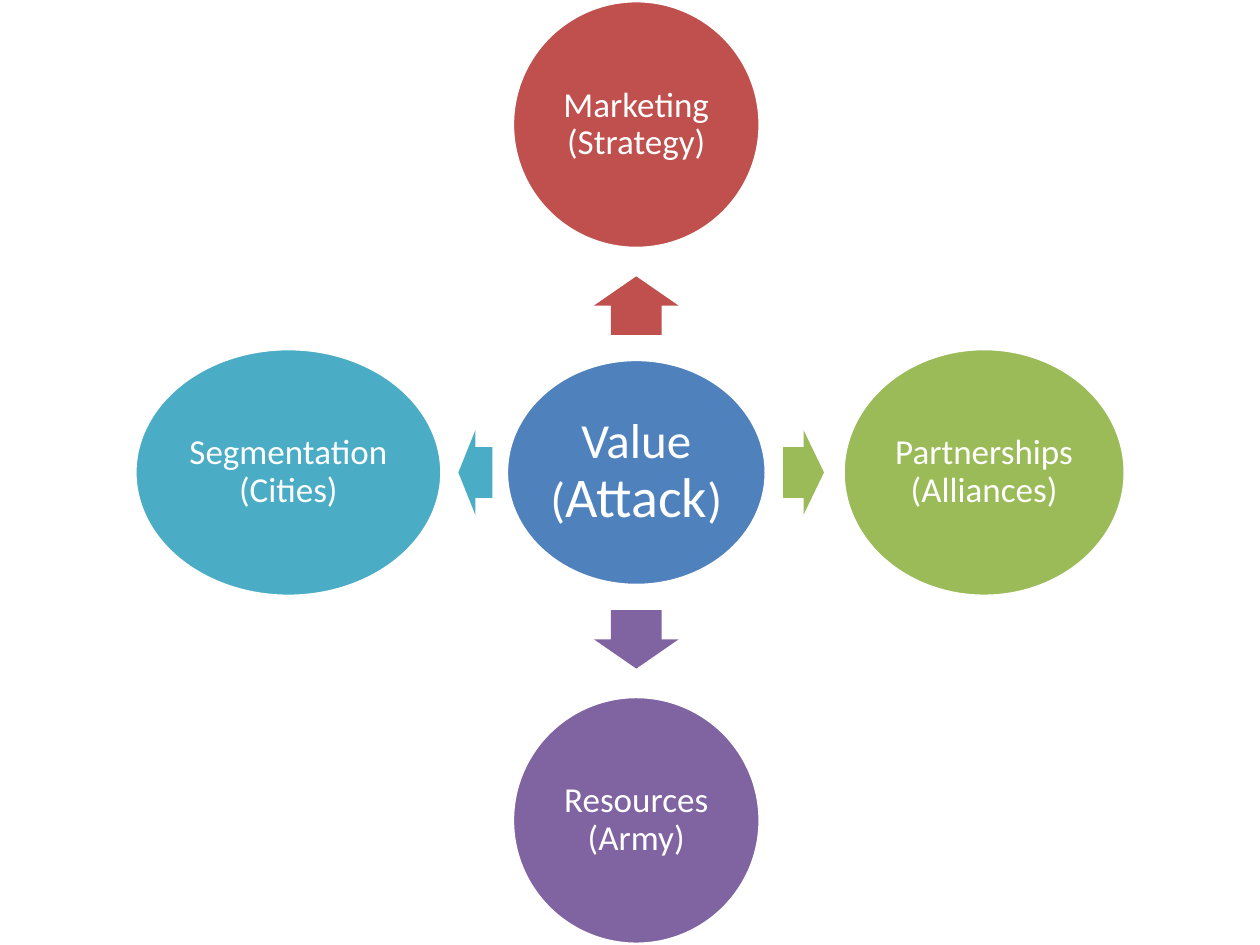
from dataclasses import dataclass
from math import cos, radians, sin

from pptx import Presentation
from pptx import util as u
from pptx.dml.color import RGBColor as Rgb
from pptx.enum import shapes, text


@dataclass(frozen=True)
class Theme:
    font: str = "Calibri"
    white: str = "FFFFFF"
    blue: str = "4F81BD"
    red: str = "C0504D"
    green: str = "9BBB59"
    purple: str = "8064A2"
    teal: str = "4BACC6"
    small: int = 20
    medium: int = 28
    large: int = 32


class Board:
    """Draws styled circles and arrows, placed by their centres in points."""

    def __init__(self, slide, theme):
        self.slide = slide
        self.theme = theme

    def shape(self, kind, x, y, wide, high, color):
        item = self.slide.shapes.add_shape(
            kind, u.Pt(x - wide / 2), u.Pt(y - high / 2), u.Pt(wide), u.Pt(high))
        item.shadow.inherit = False
        item.fill.solid()
        item.fill.fore_color.rgb = Rgb.from_string(color)
        item.line.fill.background()
        return item

    def circle(self, x, y, wide, high, color, runs, inset):
        item = self.shape(shapes.MSO_SHAPE.OVAL, x, y, wide, high, color)
        item.line.color.rgb = Rgb.from_string(self.theme.white)
        item.line.width = u.Pt(2)
        frame = item.text_frame
        frame.word_wrap = True
        frame.vertical_anchor = text.MSO_ANCHOR.MIDDLE
        frame.margin_left = frame.margin_right = u.Pt(inset)
        frame.margin_top = frame.margin_bottom = u.Pt(inset)
        para = frame.paragraphs[0]
        para.alignment = text.PP_ALIGN.CENTER
        para.line_spacing = 0.9
        for words, size in runs:
            run = para.add_run()
            run.text = words
            run.font.name = self.theme.font
            run.font.size = u.Pt(size)
            run.font.color.rgb = Rgb.from_string(self.theme.white)

    def arrow(self, x, y, wide, high, color, angle):
        item = self.shape(shapes.MSO_SHAPE.RIGHT_ARROW, x, y, wide, high, color)
        item.adjustments[0] = 0.6
        item.adjustments[1] = 0.5
        item.rotation = angle


def main():
    deck = Presentation()
    deck.slide_width, deck.slide_height = u.Pt(720), u.Pt(540)
    theme = Theme()
    board = Board(deck.slides.add_slide(deck.slide_layouts[6]), theme)

    mid_x, mid_y, reach, high = 363.6, 270, 198.8, 141.6
    value = [("Value (", theme.medium), ("Attack", theme.large), (")", theme.medium)]
    board.circle(mid_x, mid_y, 148.5, 129.2, theme.blue, value, 2.8)

    spokes = [
        (270, "Marketing (Strategy)", theme.red, 141.6, 95.4, 33.4),
        (0, "Partnerships (Alliances)", theme.green, 161.3, 95.6, 23.3),
        (90, "Resources (Army)", theme.purple, 141.6, 95.4, 33.4),
        (180, "Segmentation (Cities)", theme.teal, 175.5, 92, 19.4),
    ]
    for angle, label, color, wide, gap, length in spokes:
        dx, dy = cos(radians(angle)), sin(radians(angle))
        board.arrow(mid_x + gap * dx, mid_y + gap * dy, length, 48.3, color, angle)
        board.circle(mid_x + reach * dx, mid_y + reach * dy, wide, high, color,
                     [(label, theme.small)], 2)

    deck.save("out.pptx")


if __name__ == "__main__":
    main()
